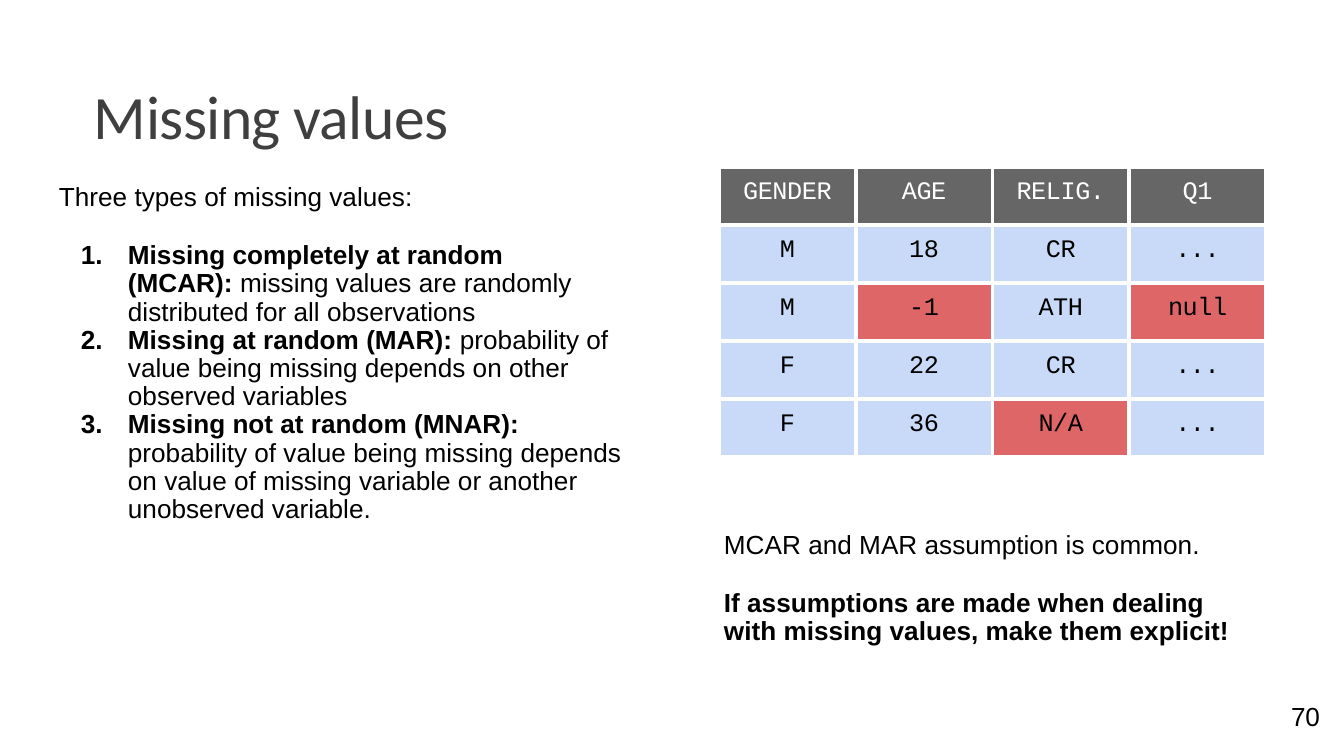
"""Build the slide on types of missing values, with a sample data table."""
from lxml import etree
from pptx import Presentation
from pptx import util as u
from pptx.dml.color import RGBColor
from pptx.enum import text
from pptx.oxml.ns import qn

PX = 914400 / 134.4
COLORS = {"title": "3F3F3F", "text": "000000", "header": "666666",
          "header_text": "FFFFFF", "cell": "C8DAF8", "missing": "DF6666",
          "border": "FFFFFF"}


def add_frame(left, top, width, height, anchor=text.MSO_ANCHOR.TOP):
    shape = slide.shapes.add_textbox(*(round(n * PX) for n in (left, top, width, height)))
    frame = shape.text_frame
    frame.word_wrap = True
    frame.vertical_anchor = anchor
    frame.margin_left = frame.margin_top = frame.margin_right = frame.margin_bottom = 0
    return frame


def write(paragraph, content, lead="", size=14, font="Arial", color="text", bold=False,
          align=text.PP_ALIGN.LEFT, before=0, line=None, numbered=False, spacing=0):
    if numbered:
        properties = paragraph._p.get_or_add_pPr()
        properties.set("marL", str(round(69 * PX)))
        properties.set("indent", str(round(-47 * PX)))
        etree.SubElement(properties, qn("a:buAutoNum"), type="arabicPeriod")
    paragraph.alignment = align
    if before:
        paragraph.space_before = u.Pt(before)
    if line:
        paragraph.line_spacing = u.Pt(line)
    for part, heavy in ((lead, True), (content, bold)):
        for index, piece in enumerate(part.split("\n")):
            if index:
                paragraph.add_line_break()
            if piece:
                run = paragraph.add_run()
                run.text = piece
                run.font.size = u.Pt(size)
                run.font.name = font
                run.font.bold = heavy
                run.font.color.rgb = RGBColor.from_string(COLORS[color])
                if spacing:
                    run._r.get_or_add_rPr().set("spc", str(round(spacing * 100)))


presentation = Presentation()
presentation.slide_width = round(1344 * PX)
presentation.slide_height = round(756 * PX)
slide = presentation.slides.add_slide(presentation.slide_layouts[6])

title = add_frame(94, 42, 1158, 146, text.MSO_ANCHOR.MIDDLE)
write(title.paragraphs[0], "Missing values", size=33, font="Calibri", color="title", spacing=-0.3)

page_number = add_frame(1278, 699, 42, 34, text.MSO_ANCHOR.MIDDLE)
write(page_number.paragraphs[0], "70", align=text.PP_ALIGN.RIGHT, line=16.5, spacing=-0.2)

types = add_frame(59, 180, 576, 345)
write(types.paragraphs[0], "Three types of missing values:")
missing_types = [
    ("Missing completely at random\n(MCAR): ",
     "missing values are randomly distributed for all observations"),
    ("Missing at random (MAR): ",
     "probability of value being missing depends on other observed variables"),
    ("Missing not at random (MNAR): ",
     "probability of value being missing depends on value of missing variable "
     "or another unobserved variable."),
]
for index, (name, meaning) in enumerate(missing_types):
    write(types.add_paragraph(), meaning, lead=name, line=15.1, numbered=True,
          before=0 if index else 16.3)

assumptions = add_frame(724, 528, 530, 120)
write(assumptions.paragraphs[0], "MCAR and MAR assumption is common.")
write(assumptions.add_paragraph(),
      "If assumptions are made when dealing with missing values, make them explicit!",
      bold=True, before=16.3, line=15.1)

rows = [
    ["GENDER", "AGE", "RELIG.", "Q1"],
    ["M", "18", "CR", "..."],
    ["M", "-1", "ATH", "null"],
    ["F", "22", "CR", "..."],
    ["F", "36", "N/A", "..."],
]
table = slide.shapes.add_table(len(rows), len(rows[0]), round(719 * PX), round(167 * PX),
                               round(547 * PX), round(290 * PX)).table
for row_index, values in enumerate(rows):
    for column_index, value in enumerate(values):
        cell = table.cell(row_index, column_index)
        cell.margin_left = cell.margin_right = cell.margin_bottom = 0
        cell.margin_top = round(12 * PX)
        properties = cell._tc.get_or_add_tcPr()
        for side in ("lnL", "lnR", "lnT", "lnB"):
            border = etree.SubElement(properties, qn(f"a:{side}"), w=str(u.Pt(2.25)))
            fill = etree.SubElement(border, qn("a:solidFill"))
            etree.SubElement(fill, qn("a:srgbClr"), val=COLORS["border"])
        if row_index == 0:
            background = "header"
        else:
            background = "missing" if value in ("-1", "null", "N/A") else "cell"
        cell.fill.solid()
        cell.fill.fore_color.rgb = RGBColor.from_string(COLORS[background])
        write(cell.text_frame.paragraphs[0], value, size=13.5, font="Courier New",
              color="text" if row_index else "header_text",
              align=text.PP_ALIGN.CENTER, spacing=-0.2)

presentation.save("out.pptx")
